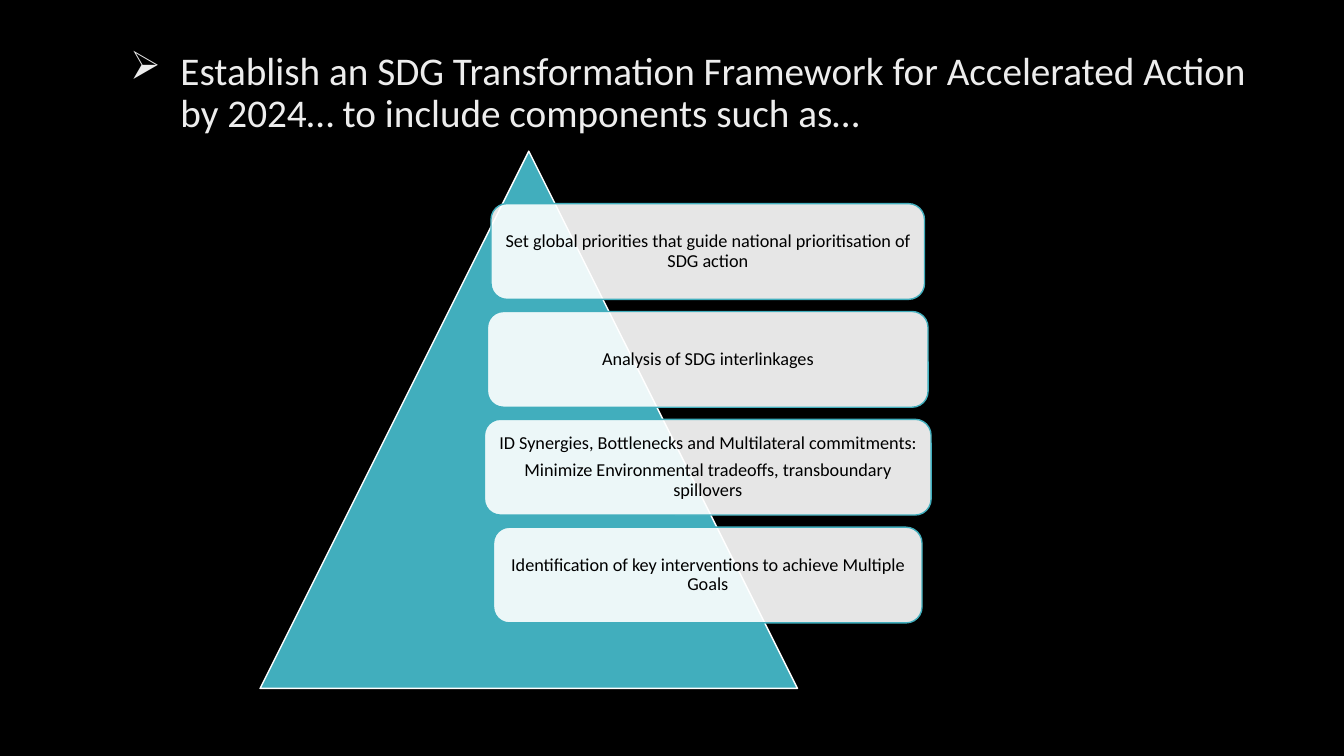
from lxml import etree
from pptx import Presentation
from pptx import util as u
from pptx.dml.color import RGBColor
from pptx.enum import shapes, text
from pptx.oxml.ns import qn

TEAL, WHITE, BLACK, TITLE_GREY = "41AEBD", "FFFFFF", "000000", "EDEDED"
CARDS = [
    (4.3, ["Set global priorities that guide national prioritisation of SDG action"]),
    (4.37, ["Analysis of SDG interlinkages"]),
    (4.43, ["ID Synergies, Bottlenecks and Multilateral commitments:",
            "Minimize Environmental tradeoffs, transboundary spillovers"]),
    (4.25, ["Identification of key interventions to achieve Multiple Goals"]),
]


def colour(hex_string):
    return RGBColor.from_string(hex_string)


def set_font(paragraph, size, hex_string):
    paragraph.font.name = "Calibri"
    paragraph.font.size = u.Pt(size)
    paragraph.font.color.rgb = colour(hex_string)


def add_filled_shape(parent, kind, box, fill, line):
    shape = parent.add_shape(kind, *(u.Inches(length) for length in box))
    shape.shadow.inherit = False
    shape.fill.solid()
    shape.fill.fore_color.rgb = colour(fill)
    shape.line.color.rgb = colour(line)
    shape.line.width = u.Pt(1)
    return shape


def set_opacity(shape, percent):
    rgb = shape.fill._xPr.find(qn("a:solidFill"))[0]
    etree.SubElement(rgb, qn("a:alpha"), val=str(percent * 1000))


def add_title(slide, left, top, width, height):
    title = slide.shapes.title
    title.left, title.top = u.Inches(left), u.Inches(top)
    title.width, title.height = u.Inches(width), u.Inches(height)
    frame = title.text_frame
    frame.text = ("Establish an SDG Transformation Framework for Accelerated Action "
                  "by 2024… to include components such as…")
    frame.word_wrap = True
    frame.auto_size = text.MSO_AUTO_SIZE.NONE
    frame.vertical_anchor = text.MSO_ANCHOR.TOP
    paragraph = frame.paragraphs[0]
    properties = paragraph._p.get_or_add_pPr()
    properties.set("marL", str(u.Inches(1)))
    properties.set("indent", str(u.Inches(-0.5)))
    etree.SubElement(properties, qn("a:buChar"), char="➢")
    paragraph.alignment = text.PP_ALIGN.LEFT
    paragraph.line_spacing = 0.9
    set_font(paragraph, 28, TITLE_GREY)


def add_card(parent, box, lines):
    card = add_filled_shape(parent, shapes.MSO_SHAPE.ROUNDED_RECTANGLE, box, WHITE, TEAL)
    set_opacity(card, 90)
    frame = card.text_frame
    frame.word_wrap = True
    frame.vertical_anchor = text.MSO_ANCHOR.MIDDLE
    frame.margin_left = frame.margin_right = u.Inches(0.1)
    frame.margin_top = frame.margin_bottom = u.Inches(0.1)
    frame.text = "\n".join(lines)
    for paragraph in frame.paragraphs:
        paragraph.alignment = text.PP_ALIGN.CENTER
        paragraph.line_spacing = 0.9
        paragraph.space_after = u.Pt(5.5)
        set_font(paragraph, 13, BLACK)


def add_pyramid(slide, left, top, side):
    """Draw the triangle with its cards centred on one axis."""
    parent = slide.shapes.add_group_shape().shapes
    add_filled_shape(parent, shapes.MSO_SHAPE.ISOSCELES_TRIANGLE,
                     (left, top, side, side), TEAL, WHITE)
    axis, first_top, pitch, height = left + 4.44, top + 0.52, 1.07, 0.95
    for index, (width, lines) in enumerate(CARDS):
        box = (axis - width / 2, first_top + index * pitch, width, height)
        add_card(parent, box, lines)


def main():
    presentation = Presentation()
    presentation.slide_width = u.Inches(13.33)
    presentation.slide_height = u.Inches(7.5)
    slide = presentation.slides.add_slide(presentation.slide_layouts.get_by_name("Title Only"))
    slide.background.fill.solid()
    slide.background.fill.fore_color.rgb = colour(BLACK)
    add_pyramid(slide, 2.58, 1.5, 5.33)
    add_title(slide, 0.69, 0.46, 12.01, 1.25)
    presentation.save("out.pptx")


if __name__ == "__main__":
    main()
